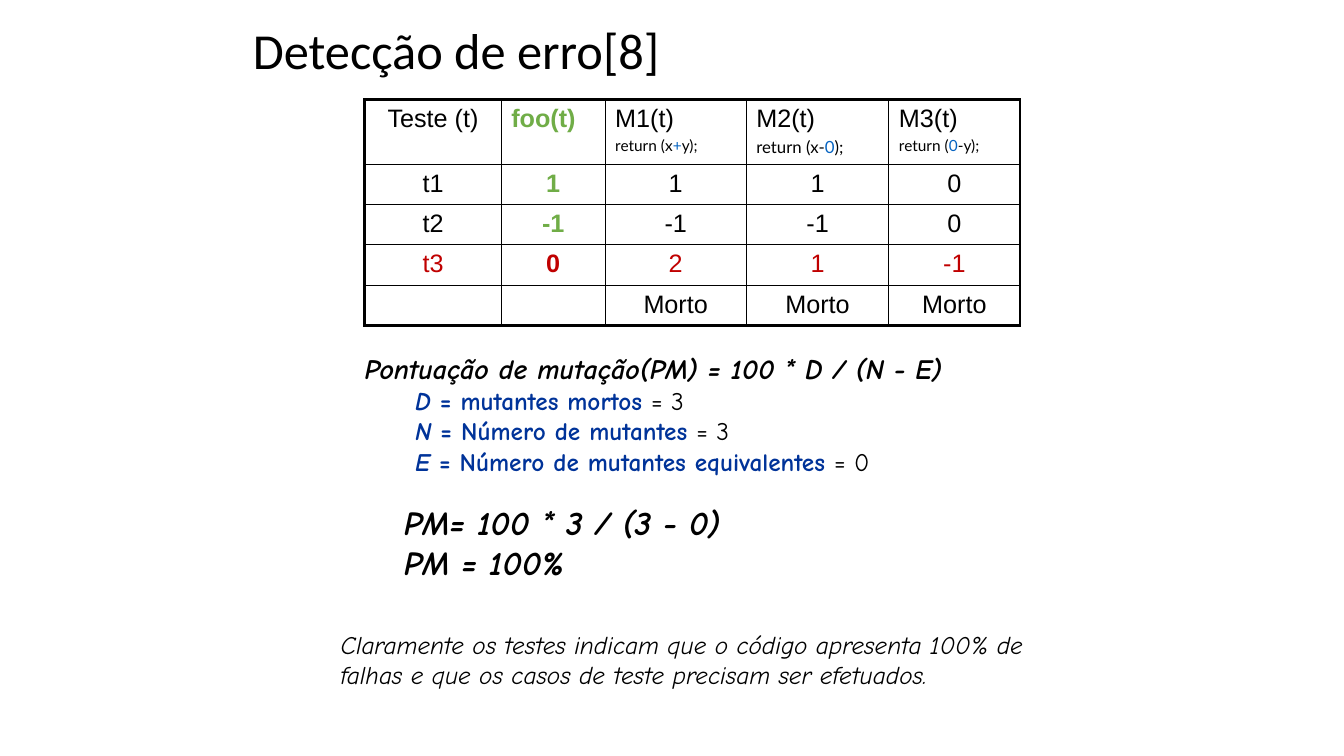
import pptx
import pptx.util
import pptx.dml.color
import pptx.enum.text
from lxml import etree

Pt = pptx.util.Pt
RGBColor = pptx.dml.color.RGBColor
CENTER = pptx.enum.text.PP_ALIGN.CENTER
LEFT = pptx.enum.text.PP_ALIGN.LEFT

BLACK = RGBColor(0x00, 0x00, 0x00)
GREEN = RGBColor(0x70, 0xAD, 0x47)
RED = RGBColor(0xC0, 0x00, 0x00)
BLUE = RGBColor(0x05, 0x63, 0xC1)
NAVY = RGBColor(0x00, 0x33, 0x99)

HAND = "Comic Neue"
TITLE = "Detecção de erro[8]"
TABLE_AT = (260.6, 71.3)
COL_WIDTHS = [97.5, 74.2, 100.8, 101.9, 93.6]
ROW_HEIGHTS = [46] + [28.8] * 4
THICK, THIN = 2.25, 1

HEADERS = ["Teste (t)", "foo(t)", "M1(t)", "M2(t)", "M3(t)"]
# column: (size, text before, changed symbol, text after)
MUTATIONS = {
    2: (11, "return (x", "+", "y);"),
    3: (12, "return (x-", "0", ");"),
    4: (11, "return (", "0", "-y);"),
}
RESULTS = [
    ["t1", "1", "1", "1", "0"],
    ["t2", "-1", "-1", "-1", "0"],
    ["t3", "0", "2", "1", "-1"],
    ["", "", "Morto", "Morto", "Morto"],
]
FAILED_ROW = 3
FOO_COL = 1

FORMULA = "Pontuação de mutação(PM) = 100 * D / (N - E)"
TERMS = [
    ("D", "mutantes mortos", "3"),
    ("N", "Número de mutantes", "3"),
    ("E", "Número de mutantes equivalentes", "0"),
]
SCORE = ["PM= 100 * 3 / (3 - 0)", "PM = 100%"]
CONCLUSION = ("Claramente os testes indicam que o código apresenta 100% de "
              "falhas e que os casos de teste precisam ser efetuados.")


def add_run(p, text, size, font, color=BLACK, bold=False, italic=False):
    r = p.add_run()
    r.text = text
    r.font.size = Pt(size)
    r.font.name = font
    r.font.color.rgb = color
    r.font.bold = bold
    r.font.italic = italic


def add_text_box(s, left, top, width, height):
    box = s.shapes.add_textbox(Pt(left), Pt(top), Pt(width), Pt(height))
    box.text_frame.word_wrap = True
    return box.text_frame


def set_borders(cell, widths):
    """Draw black borders; widths maps lnL, lnR, lnT, lnB to points."""
    tcPr = cell._tc.get_or_add_tcPr()
    ns = tcPr.nsmap["a"]
    for side, width in widths.items():
        ln = etree.SubElement(tcPr, f"{{{ns}}}{side}", w=str(int(Pt(width))))
        fill = etree.SubElement(ln, f"{{{ns}}}solidFill")
        etree.SubElement(fill, f"{{{ns}}}srgbClr", val=str(BLACK))


def add_results_table(s):
    rows = [HEADERS] + RESULTS
    last_row, last_col = len(rows) - 1, len(HEADERS) - 1
    size = (sum(COL_WIDTHS), sum(ROW_HEIGHTS))
    table = s.shapes.add_table(len(rows), len(HEADERS),
                               *map(Pt, TABLE_AT + size)).table
    table.first_row = False
    table.horz_banding = False
    for column, width in zip(table.columns, COL_WIDTHS):
        column.width = Pt(width)
    for row, height in zip(table.rows, ROW_HEIGHTS):
        row.height = Pt(height)

    for i, row in enumerate(rows):
        for j, text in enumerate(row):
            cell = table.cell(i, j)
            set_borders(cell, {
                "lnL": THICK if j == 0 else THIN,
                "lnR": THICK if j == last_col else THIN,
                "lnT": THICK if i == 0 else THIN,
                "lnB": THICK if i == last_row else THIN,
            })
            cell.fill.background()
            if not text:
                continue
            p = cell.text_frame.paragraphs[0]
            p.alignment = LEFT if i == 0 and j > 0 else CENTER
            color = RED if i == FAILED_ROW else GREEN if j == FOO_COL else BLACK
            add_run(p, text, 18, "Arial", color, bold=j == FOO_COL)

    for j, (size, before, change, after) in MUTATIONS.items():
        p = table.cell(0, j).text_frame.add_paragraph()
        p.space_before = Pt(size * 0.2)
        for text, color in ((before, BLACK), (change, BLUE), (after, BLACK)):
            add_run(p, text, size, "Lato", color)


def main():
    prs = pptx.Presentation()
    prs.slide_width, prs.slide_height = Pt(960), Pt(540)
    s = prs.slides.add_slide(prs.slide_layouts[6])

    tf = add_text_box(s, 173.5, 14.4, 613.4, 46.8)
    tf.vertical_anchor = pptx.enum.text.MSO_ANCHOR.MIDDLE
    p = tf.paragraphs[0]
    p.line_spacing = 0.9
    add_run(p, TITLE, 36, "Calibri")

    add_results_table(s)

    tf = add_text_box(s, 281.5, 355, 360, 65.5)
    for i, line in enumerate(SCORE):
        p = tf.add_paragraph() if i else tf.paragraphs[0]
        add_run(p, line, 24, HAND, bold=True, italic=True)

    tf = add_text_box(s, 253.4, 247.7, 481, 97.2)
    add_run(tf.paragraphs[0], FORMULA, 20, HAND, bold=True, italic=True)
    for symbol, meaning, value in TERMS:
        p = tf.add_paragraph()
        p.level = 1
        pPr = p._p.get_or_add_pPr()
        pPr.set("marL", str(int(Pt(36))))
        pPr.set("indent", "0")
        add_run(p, symbol, 18, HAND, NAVY, bold=True, italic=True)
        add_run(p, f" = {meaning} ", 18, HAND, NAVY, bold=True)
        add_run(p, f"= {value}", 18, HAND)

    tf = add_text_box(s, 236.2, 445.7, 532.8, 51)
    add_run(tf.paragraphs[0], CONCLUSION, 18, HAND, italic=True)

    prs.save("out.pptx")


if __name__ == "__main__":
    main()
